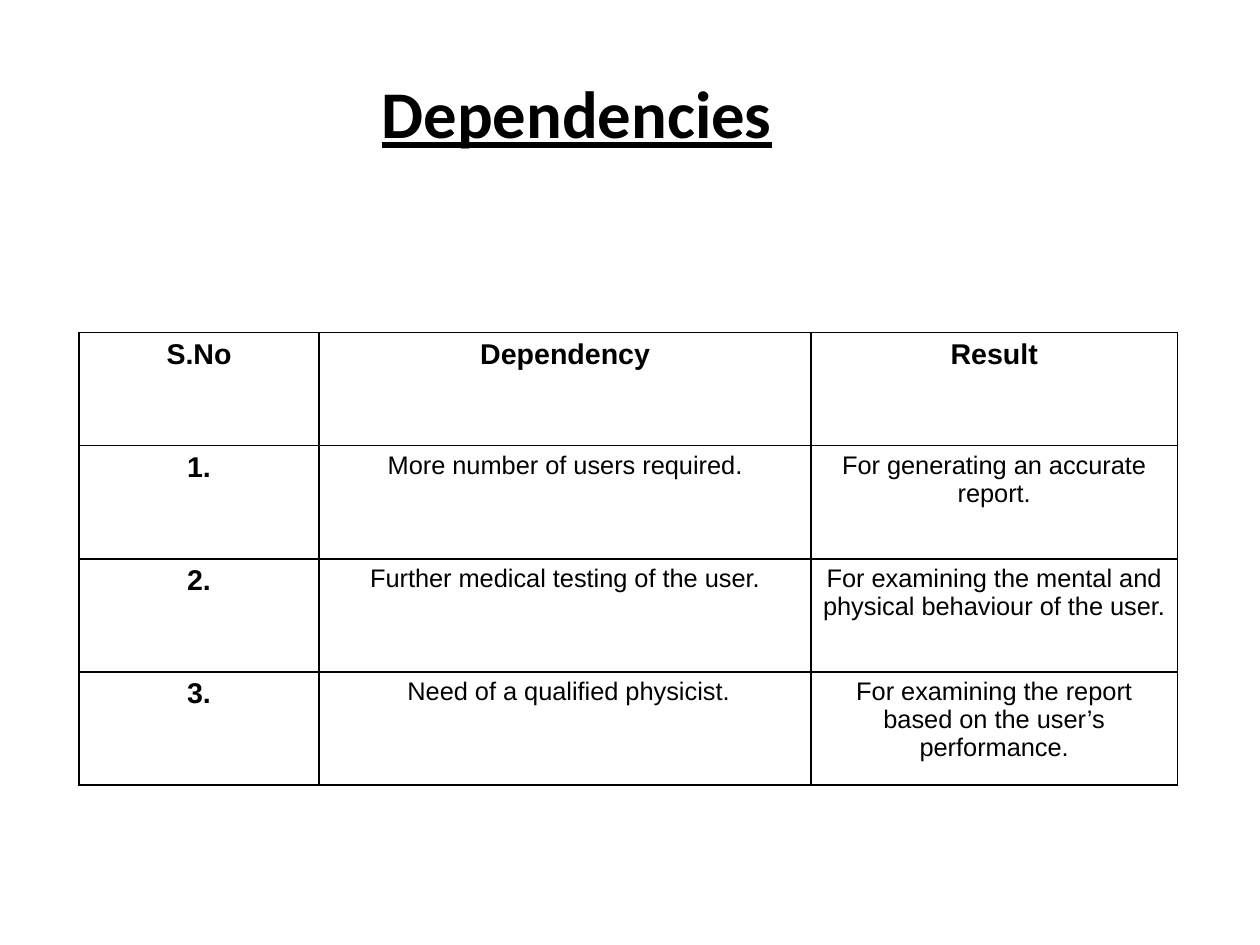
import pptx
import pptx.util
import pptx.dml.color
import pptx.enum.text
import pptx.oxml
import pptx.oxml.ns

Inches = pptx.util.Inches
CM_PER_INCH = 2.54
ROWS = [
    ("S.No", "Dependency", "Result"),
    ("1.", "More number of users required.", "For generating an accurate report."),
    ("2.", "Further medical testing of the user.",
     "For examining the mental and physical behaviour of the user."),
    ("3.", " Need of a qualified physicist.",
     "For examining the report based on the user’s performance."),
]
COLUMN_WIDTHS = (2.1, 4.3, 3.2)


def rgb(value):
    return pptx.dml.color.RGBColor.from_string(value)


def format_run(r, size, font, bold, underline=False):
    r.font.size = pptx.util.Pt(size)
    r.font.name = font
    r.font.bold = bold
    r.font.underline = underline
    r.font.color.rgb = rgb("000000")


def add_borders(cell, color="000000", width=1):
    """Draw a solid line on all four sides of a cell."""
    tc_pr = cell._tc.get_or_add_tcPr()
    for i, side in enumerate(("lnL", "lnR", "lnT", "lnB")):
        ln = pptx.oxml.parse_xml(
            f'<a:{side} {pptx.oxml.ns.nsdecls("a")} w="{int(pptx.util.Pt(width))}">'
            f'<a:solidFill><a:srgbClr val="{color}"/></a:solidFill></a:{side}>')
        tc_pr.insert(i, ln)


def add_title(s, x, y, w, h):
    tf = s.shapes.add_textbox(Inches(x), Inches(y), Inches(w), Inches(h)).text_frame
    tf.word_wrap = True
    tf.auto_size = pptx.enum.text.MSO_AUTO_SIZE.SHAPE_TO_FIT_TEXT
    tf.text = "Dependencies"
    format_run(tf.paragraphs[0].runs[0], 42, "Calibri", True, underline=True)


def add_dependency_table(s, x, y, w, h):
    table = s.shapes.add_table(len(ROWS), len(COLUMN_WIDTHS), Inches(x), Inches(y),
                               Inches(w), Inches(h)).table
    table.first_row = table.horz_banding = False
    for column, share in zip(table.columns, COLUMN_WIDTHS):
        column.width = Inches(w * share / sum(COLUMN_WIDTHS))
    for i, texts in enumerate(ROWS):
        table.rows[i].height = Inches(h / len(ROWS))
        for j, text in enumerate(texts):
            cell = table.cell(i, j)
            cell.fill.background()
            add_borders(cell)
            cell.text_frame.text = text
            p = cell.text_frame.paragraphs[0]
            p.alignment = pptx.enum.text.PP_ALIGN.CENTER
            heading = i == 0 or j == 0
            format_run(p.runs[0], 18 if heading else 16, "Arial", heading)


def main():
    prs = pptx.Presentation()
    prs.slide_width = Inches(28 / CM_PER_INCH)
    prs.slide_height = Inches(21 / CM_PER_INCH)
    s = prs.slides.add_slide(prs.slide_layouts[6])
    add_dependency_table(s, 0.69, 2.91, 9.61, 3.96)
    add_title(s, 3.24, 0.58, 3.94, 0.82)
    prs.save("out.pptx")


if __name__ == "__main__":
    main()
